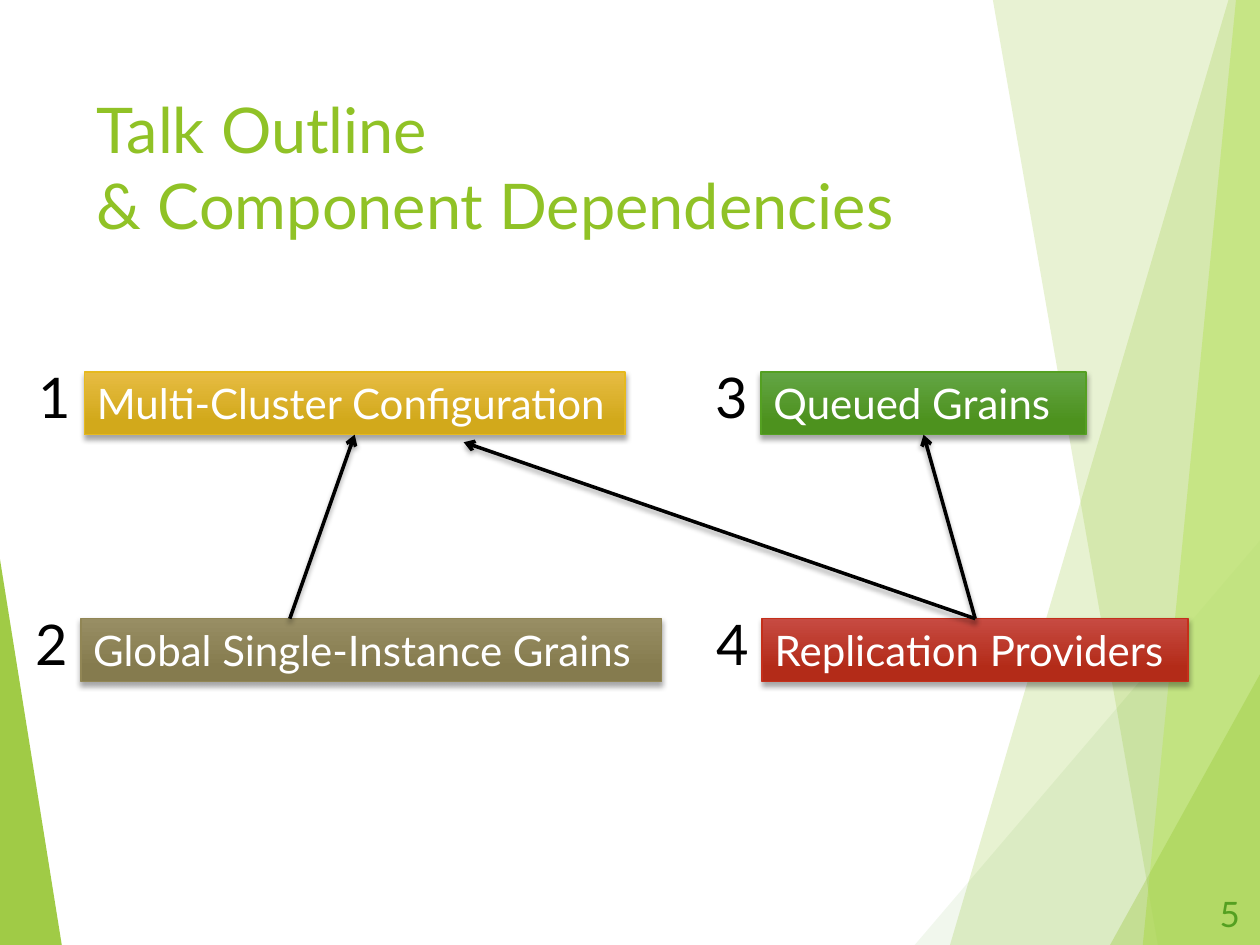
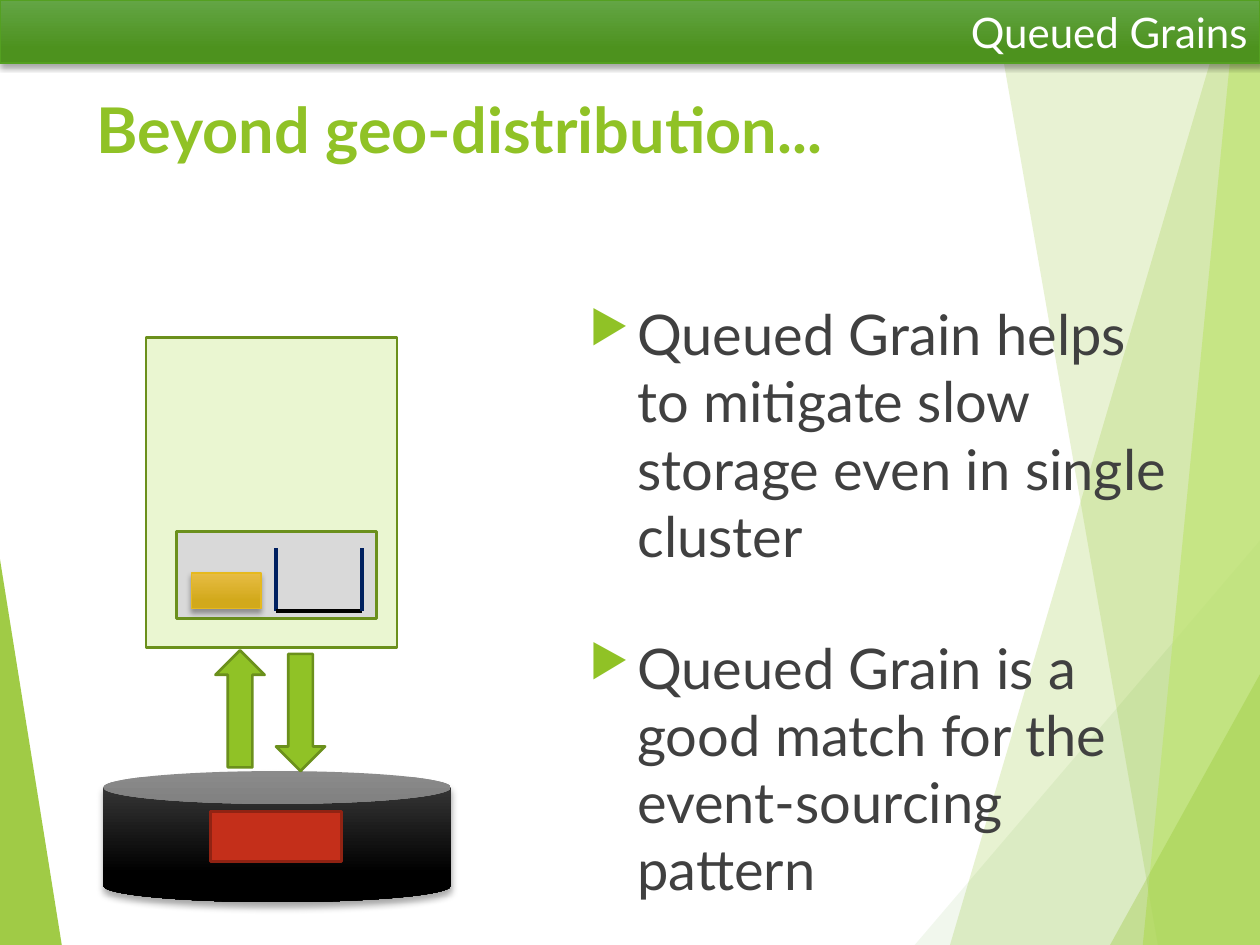
from lxml.etree import SubElement
from pptx import Presentation
from pptx.dml.color import RGBColor
from pptx.enum.shapes import MSO_CONNECTOR, MSO_SHAPE
from pptx.enum.text import MSO_ANCHOR, PP_ALIGN
from pptx.oxml.ns import qn
from pptx.util import Inches, Pt

FONT = "Lato"
BLACK = RGBColor(0x00, 0x00, 0x00)
WHITE = RGBColor(0xFF, 0xFF, 0xFF)
LIME = RGBColor(0x90, 0xC2, 0x26)
DARK_LIME = RGBColor(0x6B, 0x90, 0x1C)
PALE_LIME = RGBColor(0xEA, 0xF6, 0xD1)
BRIGHT_LIME = RGBColor(0xC0, 0xE4, 0x74)
GREEN = RGBColor(0x54, 0xA0, 0x21)
GOLD = RGBColor(0xE6, 0xB9, 0x1E)
OLIVE = RGBColor(0x91, 0x86, 0x55)
RED = RGBColor(0xC4, 0x2F, 0x1A)
DARK_RED = RGBColor(0x91, 0x23, 0x13)
NAVY = RGBColor(0x00, 0x20, 0x60)
GREY = RGBColor(0xD9, 0xD9, 0xD9)
TEXT_GREY = RGBColor(0x40, 0x40, 0x40)

# Gradients run from top to bottom: first colour, last colour
GRADIENTS = {
    GOLD: (RGBColor(0xE7, 0xBC, 0x43), RGBColor(0xD2, 0xA9, 0x1B)),
    OLIVE: (RGBColor(0x98, 0x8E, 0x64), RGBColor(0x85, 0x7B, 0x4E)),
    GREEN: (RGBColor(0x63, 0xA5, 0x45), RGBColor(0x4D, 0x92, 0x1E)),
    RED: (RGBColor(0xC7, 0x4B, 0x42), RGBColor(0xB3, 0x2B, 0x18)),
    BLACK: (RGBColor(0x3F, 0x3F, 0x3F), BLACK),
}

# Background facets: colour, opacity in percent, corners
FACETS = [
    (LIME, 85, [(0, 4.44), (0.49, 7.5), (0, 7.5)]),
    (LIME, 21, [(9.75, 0), (7.54, 7.5), (10, 7.5), (10, 0)]),
    (LIME, 20, [(7.88, 0), (9.19, 7.5), (10, 7.5), (10, 0)]),
    (GREEN, 8, [(7.26, 7.5), (10, 4.29), (10, 7.5)]),
    (BRIGHT_LIME, 70, [(9.81, 0), (9.07, 7.5), (10, 7.5), (10, 0)]),
    (LIME, 30, [(8.81, 7.5), (10, 5.35), (10, 7.5)]),
]

OUTLINE_TITLE = "Talk Outline\v& Component Dependencies"
# Components in talk order: name, colour, left, top, width
COMPONENTS = [
    ("Multi-Cluster Configuration", GOLD, 0.67, 2.95, 4.29),
    ("Global Single-Instance Grains", OLIVE, 0.64, 4.91, 4.61),
    ("Queued Grains", GREEN, 6.04, 2.95, 2.58),
    ("Replication Providers", RED, 6.05, 4.91, 3.38),
]
BAR_HEIGHT = 0.5
# Dependencies: user, start, used, end; None where the end is not at mid-side
DEPENDENCIES = [
    (4, (7.74, 4.91), 3, (7.33, 3.45)),
    (4, (7.74, 4.91), None, (3.68, 3.51)),
    (None, (2.3, 4.91), 1, (2.81, 3.45)),
]

QUEUED_TITLE = "Beyond geo-distribution..."
QUEUED_POINTS = [
    ("Queued Grain helps to mitigate slow storage even in single cluster", 10),
    ("Queued Grain is a good match for the event-sourcing pattern", 37),
]
# Storage diagram: shape, box, fill, line colour, rotation
FLAT_PARTS = [
    (MSO_SHAPE.RECTANGLE, (1.16, 2.68, 1.99, 2.46), PALE_LIME, DARK_LIME, 0),
    (MSO_SHAPE.RECTANGLE, (1.67, 6.44, 1.04, 0.4), RED, DARK_RED, 0),
    (MSO_SHAPE.RECTANGLE, (1.4, 4.22, 1.59, 0.69), GREY, DARK_LIME, 0),
    (MSO_SHAPE.DOWN_ARROW, (1.71, 5.16, 0.39, 0.93), LIME, DARK_LIME, 180),
    (MSO_SHAPE.DOWN_ARROW, (2.19, 5.19, 0.39, 0.93), LIME, DARK_LIME, 0),
]
QUEUE_EDGES = [
    ((2.19, 4.35), (2.19, 4.85), NAVY),
    ((2.19, 4.85), (2.87, 4.85), BLACK),
    ((2.87, 4.35), (2.87, 4.85), NAVY),
]


def inches(values):
    return [Inches(v) for v in values]


def set_effects(shape, shadow=False, blur=3, dist=2):
    """Replace theme effects with none or a soft shadow; call after fill and line."""
    sp_pr = shape._element.spPr
    effects = SubElement(sp_pr, qn("a:effectLst"))
    if shadow:
        outer = SubElement(effects, qn("a:outerShdw"), blurRad=str(Pt(blur)),
                           dist=str(Pt(dist)), dir="5400000", rotWithShape="0")
        clr = SubElement(outer, qn("a:srgbClr"), val="000000")
        SubElement(clr, qn("a:alpha"), val="35000")


def set_text(shape, text, size, color, align=PP_ALIGN.LEFT, bold=False,
             anchor=MSO_ANCHOR.TOP):
    tf = shape.text_frame
    tf.word_wrap = True
    tf.vertical_anchor = anchor
    tf.text = text
    for p in tf.paragraphs:
        p.alignment = align
        for r in p.runs:
            r.font.name = FONT
            r.font.size = Pt(size)
            r.font.bold = bold
            r.font.color.rgb = color
    return tf


def add_text(s, box, *args, **style):
    return set_text(s.shapes.add_textbox(*inches(box)), *args, **style)


def add_flat(s, kind, box, fill, line, rotation):
    sp = s.shapes.add_shape(kind, *inches(box))
    sp.rotation = rotation
    sp.fill.solid()
    sp.fill.fore_color.rgb = fill
    sp.line.color.rgb = line
    sp.line.width = Pt(1.5)
    set_effects(sp)
    return sp


def add_glossy(s, box, color, kind=MSO_SHAPE.RECTANGLE, outlined=True, **shadow):
    """Add a gradient shape with a soft shadow."""
    sp = s.shapes.add_shape(kind, *inches(box))
    sp.fill.gradient()
    sp.fill.gradient_angle = 270
    stops = zip(sp.fill.gradient_stops, GRADIENTS[color], (0, 0.78))
    for stop, stop_color, position in stops:
        stop.color.rgb = stop_color
        stop.position = position
    if outlined:
        sp.line.color.rgb = color
        sp.line.width = Pt(1)
    else:
        sp.line.fill.background()
    set_effects(sp, True, **shadow)
    return sp


def add_line(s, start, end, color, width, arrow=False):
    line = s.shapes.add_connector(MSO_CONNECTOR.STRAIGHT, *inches(start + end))
    line.line.color.rgb = color
    line.line.width = Pt(width)
    if arrow:
        SubElement(line._element.spPr.find(qn("a:ln")), qn("a:tailEnd"), type="arrow")
    set_effects(line, shadow=arrow)
    return line


def add_slide(prs, title, bold=False):
    """Add a slide with the background facets and its title."""
    s = prs.slides.add_slide(prs.slide_layouts[6])
    for color, opacity, corners in FACETS:
        points = [inches(corner) for corner in corners]
        builder = s.shapes.build_freeform(*points[0])
        builder.add_line_segments(points[1:])
        sp = builder.convert_to_shape()
        sp.fill.solid()
        sp.fill.fore_color.rgb = color
        clr = sp._element.spPr.find(qn("a:solidFill")).find(qn("a:srgbClr"))
        SubElement(clr, qn("a:alpha"), val=str(opacity * 1000))
        sp.line.fill.background()
        set_effects(sp)
    add_text(s, (0.67, 0.67, 6.94, 1.44), title, 36, LIME, bold=bold)
    return s


def build_outline(prs):
    s = add_slide(prs, OUTLINE_TITLE)
    add_text(s, (9.38, 7.05, 0.56, 0.4), "5", 20, GREEN,
             align=PP_ALIGN.RIGHT, anchor=MSO_ANCHOR.MIDDLE)
    bars = {}
    for number, (name, color, left, top, width) in enumerate(COMPONENTS, 1):
        bars[number] = add_glossy(s, (left, top, width, BAR_HEIGHT), color)
        set_text(bars[number], name, 24, WHITE)
        add_text(s, (left - 0.46, top - 0.12, 0.44, 0.64), str(number), 32, BLACK)
    for user, start, used, end in DEPENDENCIES:
        arrow = add_line(s, start, end, BLACK, 2, arrow=True)
        if user:
            arrow.begin_connect(bars[user], 0)
        if used:
            arrow.end_connect(bars[used], 2)


def add_points(s):
    tf = add_text(s, (4.58, 2.33, 4.96, 4.8),
                  "\n".join(text for text, _ in QUEUED_POINTS), 32, TEXT_GREY)
    for p, (_, space) in zip(tf.paragraphs, QUEUED_POINTS):
        p.space_before = Pt(space)
        p_pr = p._p.get_or_add_pPr()
        p_pr.set("marL", str(Inches(0.38)))
        p_pr.set("indent", str(-Inches(0.38)))
        SubElement(SubElement(p_pr, qn("a:buClr")), qn("a:srgbClr"), val=str(LIME))
        SubElement(p_pr, qn("a:buSzPct"), val="80000")
        SubElement(p_pr, qn("a:buChar"), char="▶")


def build_queued_grains(prs):
    s = add_slide(prs, QUEUED_TITLE, bold=True)
    add_points(s)
    add_glossy(s, (0.82, 6.12, 2.76, 1.04), BLACK, MSO_SHAPE.CAN,
               outlined=False, blur=4, dist=3)
    for part in FLAT_PARTS:
        add_flat(s, *part)
    add_glossy(s, (1.52, 4.55, 0.55, 0.28), GOLD)
    for start, end, color in QUEUE_EDGES:
        add_line(s, start, end, color, 2.25)
    banner = add_glossy(s, (0, 0, 10, BAR_HEIGHT), GREEN)
    set_text(banner, "Queued Grains", 24, WHITE, align=PP_ALIGN.RIGHT)


def main():
    prs = Presentation()
    prs.slide_width, prs.slide_height = Inches(10), Inches(7.5)
    build_outline(prs)
    build_queued_grains(prs)
    prs.save("out.pptx")


if __name__ == "__main__":
    main()
